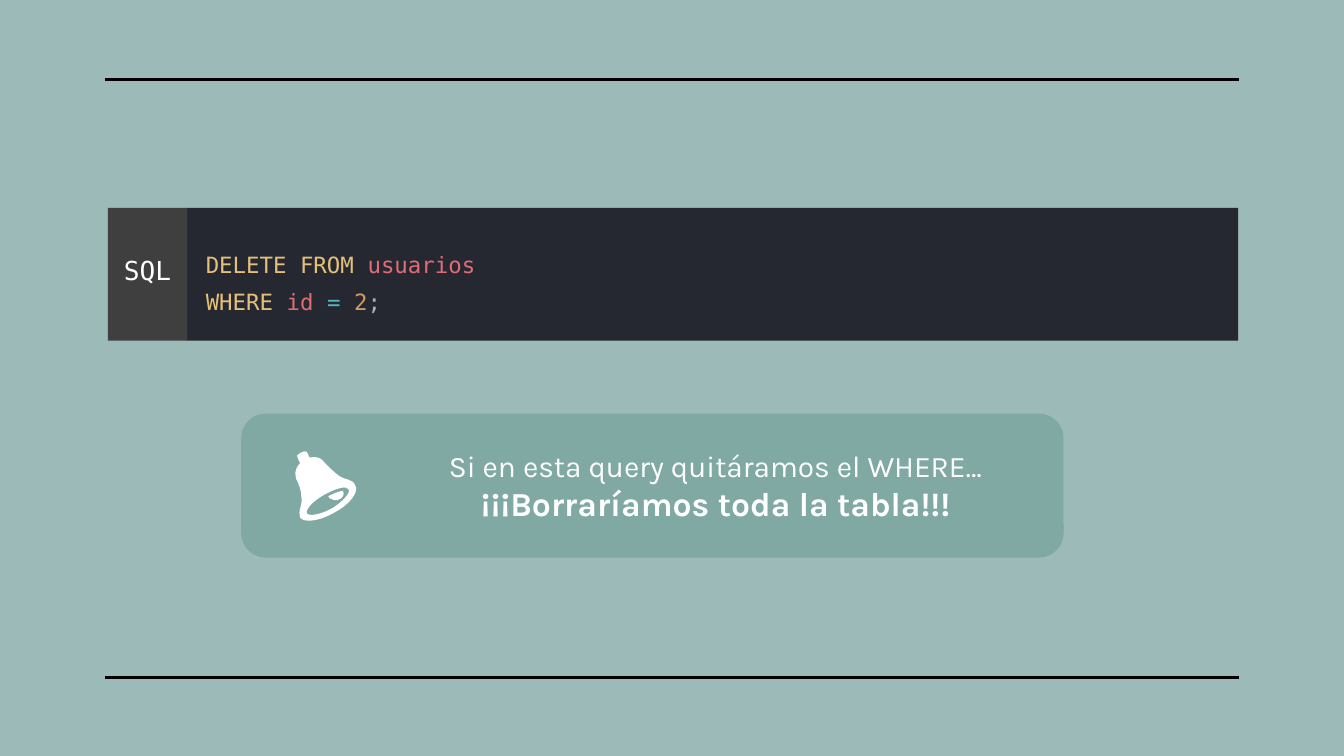
from pptx import Presentation
from pptx.dml.color import RGBColor
from pptx.enum.shapes import MSO_CONNECTOR, MSO_SHAPE
from pptx.enum.text import MSO_ANCHOR, PP_ALIGN
from pptx.oxml.ns import qn
from pptx.util import Cm, Pt
from lxml import etree

RECT, ROUND = MSO_SHAPE.RECTANGLE, MSO_SHAPE.ROUNDED_RECTANGLE
LINE = MSO_CONNECTOR.STRAIGHT
MIDDLE = MSO_ANCHOR.MIDDLE
LEFT, CENTER = PP_ALIGN.LEFT, PP_ALIGN.CENTER
MONO, SANS = "DejaVu Sans Mono", "Karla"
WHITE, GOLD, ROSE = "FFFFFF", "E5C07B", "E06C75"
UNIT = 2.54 / 100

CODE = [
    [("DELETE FROM ", GOLD), ("usuarios", ROSE)],
    [("WHERE ", GOLD), ("id ", ROSE), ("= ", "56B6C2"), ("2", "D19A66"), (";", "ABB2BF")],
]

# Each contour is a start point followed by cubic curves.
HANDLE = [(2, 4), (1, 3, 2, 2, 4, 1), (6, 0, 8, -1, 9, 0), (9, 1, 18, 17, 19, 18),
          (19, 18, 18, 20, 16, 21), (14, 22, 12, 23, 11, 22), (11, 21, 2, 5, 2, 4)]
MOUTH = [(28, 42), (19, 47, 11, 48, 9, 46), (8, 43, 13, 37, 22, 32),
         (31, 27, 39, 25, 40, 28), (42, 30, 36, 37, 28, 42)]
BODY = [(45, 25), (43, 20, 37, 21, 33, 18), (29, 15, 25, 11, 22, 8), (19, 3, 12, 3, 7, 6),
        (2, 9, -1, 15, 1, 20), (3, 24, 5, 29, 5, 34), (6, 40, 2, 44, 4, 49),
        (7, 53, 18, 52, 30, 45), (41, 39, 48, 30, 45, 25)]
CLAPPER = [(25, 33), (29, 31, 34, 29, 36, 29), (37, 30, 36, 32, 36, 33),
           (34, 36, 30, 37, 27, 35), (26, 35, 25, 34, 25, 33)]


def color(code):
    """Turn a hex string into a colour."""
    return RGBColor.from_string(code)


def paint(shape, fill):
    """Give a shape a plain fill without line or shadow."""
    shape.shadow.inherit = False
    shape.fill.solid()
    shape.fill.fore_color.rgb = color(fill)
    shape.line.fill.background()


def add_box(slide, kind, box, fill, insets):
    """Add a filled box whose text is centred vertically."""
    shape = slide.shapes.add_shape(kind, *map(Cm, box))
    paint(shape, fill)
    frame = shape.text_frame
    frame.word_wrap = True
    frame.vertical_anchor = MIDDLE
    (frame.margin_left, frame.margin_top,
     frame.margin_right, frame.margin_bottom) = map(Cm, insets)
    return shape


def add_text(para, text, font=MONO, size=12, fill=WHITE, bold=False, align=LEFT, space=None):
    """Add a formatted run to a paragraph."""
    para.alignment = align
    para.line_spacing = space
    run = para.add_run()
    run.text = text
    run.font.name = font
    run.font.size = Pt(size)
    run.font.bold = bold
    run.font.color.rgb = color(fill)


def add_rule(slide, top):
    """Add a black rule across the slide."""
    rule = slide.shapes.add_connector(LINE, Cm(1.98), Cm(top), Cm(23.42), Cm(top))
    rule.line.color.rgb = color("000000")
    rule.line.width = Pt(1.5)
    etree.SubElement(rule._element.spPr, qn("a:effectLst"))


def nodes(contour):
    """List the end and control points of a contour."""
    flat = [Cm(value * UNIT) for part in contour for value in part]
    return list(zip(flat[::2], flat[1::2]))


def bend(shape):
    """Join every three line segments into one cubic curve."""
    lines = list(shape._element.iter(qn("a:lnTo")))
    for first, *others in zip(lines[::3], lines[1::3], lines[2::3]):
        first.tag = qn("a:cubicBezTo")
        for other in others:
            first.append(other[0])
            other.getparent().remove(other)


def add_curve(slide, left, top, *contours):
    """Add a white outline made of one or more contours."""
    first, *rest = map(nodes, contours)
    pen = slide.shapes.build_freeform(*first[0])
    pen.add_line_segments(first[1:])
    for points in rest:
        pen.move_to(*points[0])
        pen.add_line_segments(points[1:])
    shape = pen.convert_to_shape(Cm(left), Cm(top))
    bend(shape)
    paint(shape, WHITE)


def add_code(slide):
    """Add the code panel and its language tag."""
    panel = add_box(slide, RECT, (3.53, 3.93, 19.87, 2.51), "262831", (0.36, 0.4, 0.25, 0.25))
    frame = panel.text_frame
    for row, parts in enumerate(CODE):
        para = frame.add_paragraph() if row else frame.paragraphs[0]
        for text, fill in parts:
            add_text(para, text, fill=fill, space=1.36)
    tag = add_box(slide, RECT, (2.04, 3.93, 1.5, 2.51), "3F3F3F", (0.25, 0.1, 0.25, 0.25))
    add_text(tag.text_frame.paragraphs[0], "SQL", size=14, align=CENTER)


def add_alert(slide):
    """Add the warning box with its bell."""
    alert = add_box(slide, ROUND, (4.56, 7.82, 15.54, 2.72), "80A9A4", (2.64, 0.25, 0.25, 0.25))
    alert.adjustments[0] = 0.17
    para = alert.text_frame.paragraphs[0]
    add_text(para, "Si en esta query quitáramos el WHERE… ", font=SANS, size=16, align=CENTER)
    add_text(para, "¡¡¡Borraríamos toda la tabla!!!", font=SANS, size=18, bold=True, align=CENTER)
    for contours in ([HANDLE], [MOUTH, BODY], [CLAPPER]):
        add_curve(slide, 5.57, 8.54, *contours)


def main():
    """Build the slide and save it."""
    deck = Presentation()
    deck.slide_width, deck.slide_height = Cm(25.4), Cm(14.29)
    slide = deck.slides.add_slide(deck.slide_layouts[6])
    slide.background.fill.solid()
    slide.background.fill.fore_color.rgb = color("9CBAB7")
    for top in (1.5, 12.8):
        add_rule(slide, top)
    add_code(slide)
    add_alert(slide)
    deck.save("out.pptx")


if __name__ == "__main__":
    main()
